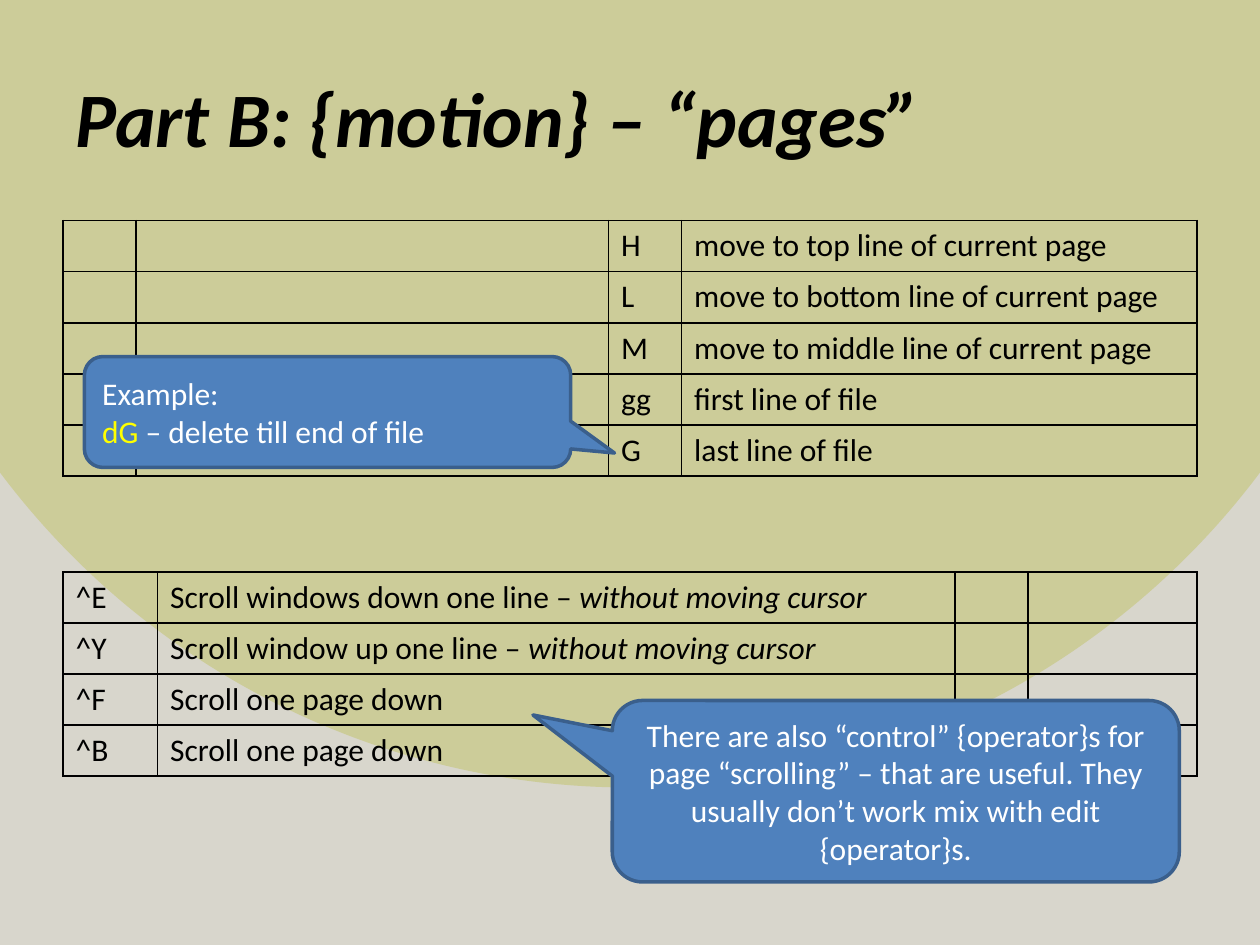
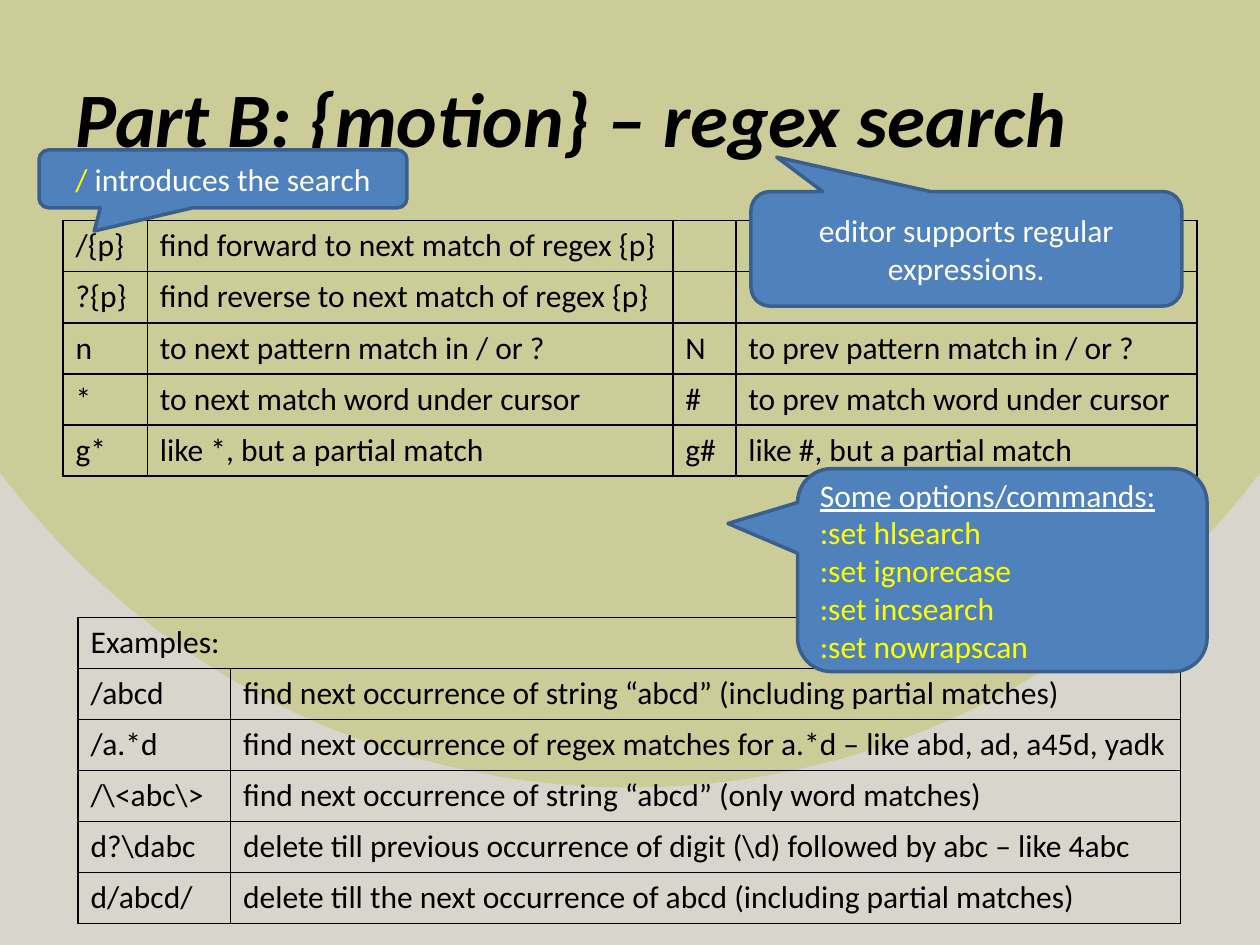
from lxml import etree
from pptx import Presentation
from pptx.dml.color import RGBColor
from pptx.enum.shapes import MSO_SHAPE
from pptx.enum.text import MSO_ANCHOR, PP_ALIGN
from pptx.oxml import parse_xml
from pptx.oxml.ns import nsdecls, qn
from pptx.util import Inches, Pt

CALLOUT = MSO_SHAPE.ROUNDED_RECTANGULAR_CALLOUT
MIDDLE = MSO_ANCHOR.MIDDLE
LEFT, CENTER = PP_ALIGN.LEFT, PP_ALIGN.CENTER

KHAKI = RGBColor(0xCC, 0xCC, 0x99)
STONE = RGBColor(0xD8, 0xD6, 0xCC)
BLACK = RGBColor(0x00, 0x00, 0x00)
WHITE = RGBColor(0xFF, 0xFF, 0xFF)
YELLOW = RGBColor(0xFF, 0xFF, 0x00)
BLUE = RGBColor(0x4F, 0x81, 0xBD)
NAVY = RGBColor(0x3A, 0x5F, 0x8C)
FONT = "Calibri"
BODY_SIZE = Pt(18)


def add_grid(page, left, top, height, widths, rows):
    frame = page.shapes.add_table(
        len(rows), len(widths), Inches(left), Inches(top), Inches(sum(widths)), Inches(height)
    )
    table = frame.table
    table.first_row = False
    table.horz_banding = False
    for column, width in zip(table.columns, widths):
        column.width = Inches(width)
    for row, texts in zip(table.rows, rows):
        for cell, text in zip(row.cells, texts):
            cell.fill.background()
            properties = cell._tc.get_or_add_tcPr()
            for index, side in enumerate(("lnL", "lnR", "lnT", "lnB")):
                border = etree.Element(qn(f"a:{side}"), w=str(Pt(1)))
                paint = etree.SubElement(border, qn("a:solidFill"))
                etree.SubElement(paint, qn("a:srgbClr"), val=str(BLACK))
                properties.insert(index, border)
            para = cell.text_frame.paragraphs[0]
            para.font.name = FONT
            para.font.size = BODY_SIZE
            para.font.color.rgb = BLACK
            plain, italic = text if isinstance(text, tuple) else (text, "")
            if plain:
                para.add_run().text = plain
            if italic:
                span = para.add_run()
                span.text = italic
                span.font.italic = True
    return table


def add_callout(page, left, top, width, height, pointer, alignment, lines):
    box = page.shapes.add_shape(CALLOUT, Inches(left), Inches(top), Inches(width), Inches(height))
    for index, value in enumerate(pointer):
        box.adjustments[index] = value
    box.shadow.inherit = False
    box.fill.solid()
    box.fill.fore_color.rgb = BLUE
    box.line.color.rgb = NAVY
    box.line.width = Pt(2)
    frame = box.text_frame
    frame.vertical_anchor = MIDDLE
    for index, line in enumerate(lines):
        para = frame.add_paragraph() if index else frame.paragraphs[0]
        para.alignment = alignment
        para.font.name = FONT
        para.font.size = BODY_SIZE
        for text, colour in zip(line, (YELLOW, WHITE)):
            if text:
                span = para.add_run()
                span.text = text
                span.font.color.rgb = colour
    return frame


deck = Presentation()
deck.slide_width = Inches(10)
deck.slide_height = Inches(7.5)
master = deck.slide_master
master.background.fill.solid()
solid = master.element.find(".//" + qn("p:bgPr"))[0]
solid.getparent().replace(solid, parse_xml(
    f'<a:gradFill {nsdecls("a")} rotWithShape="1"><a:gsLst>'
    f'<a:gs pos="100000"><a:srgbClr val="{KHAKI}"/></a:gs>'
    f'<a:gs pos="100000"><a:srgbClr val="{STONE}"/></a:gs></a:gsLst>'
    '<a:path path="circle"><a:fillToRect l="43000" r="43000" b="100000"/></a:path></a:gradFill>'
))

pages = []
for title in ("Part B: {motion} – “pages”", "Part B: {motion} – regex search"):
    page = deck.slides.add_slide(deck.slide_layouts[6])
    box = page.shapes.add_textbox(Inches(0.5), Inches(0.3), Inches(9), Inches(1.25))
    box.text_frame.word_wrap = True
    box.text_frame.vertical_anchor = MIDDLE
    para = box.text_frame.paragraphs[0]
    para.text = title
    para.font.name = FONT
    para.font.size = Pt(44)
    para.font.bold = True
    para.font.italic = True
    para.font.color.rgb = BLACK
    pages.append(page)
motion_page, search_page = pages

add_grid(motion_page, 0.5, 4.54, 1.62, (0.75, 6.33, 0.58, 1.34), [
    ("^E", ("Scroll windows down one line – ", "without moving cursor"), "", ""),
    ("^Y", ("Scroll window up one line – ", "without moving cursor"), "", ""),
    ("^F", "Scroll one page down", "", ""),
    ("^B", "Scroll one page down", "", ""),
])
add_callout(motion_page, 4.86, 5.56, 4.5, 1.44, (-0.64, -0.42), CENTER, [
    ("", "There are also “control” {operator}s for page “scrolling” – that are useful. "
         "They usually don’t work mix with edit {operator}s."),
])
add_grid(motion_page, 0.5, 1.75, 2.03, (0.58, 3.75, 0.58, 4.09), [
    ("", "", "H", "move to top line of current page"),
    ("", "", "L", "move to bottom line of current page"),
    ("", "", "M", "move to middle line of current page"),
    ("", "", "gg", "first line of file"),
    ("", "", "G", "last line of file"),
])
add_callout(motion_page, 0.67, 2.83, 3.86, 0.88, (0.59, 0.37), LEFT, [
    ("", "Example:"),
    ("dG", " – delete till end of file"),
])

add_grid(search_page, 0.5, 1.75, 2.03, (0.67, 4.17, 0.5, 3.66), [
    ("/{p}", "find forward to next match of regex {p}", "", ""),
    ("?{p}", "find reverse to next match of regex {p}", "", ""),
    ("n", "to next pattern match in / or ?", "N", "to prev pattern match in / or ?"),
    ("*", "to next match word under cursor", "#", "to prev match word under cursor"),
    ("g*", "like *, but a partial match", "g#", "like #, but a partial match"),
])
add_callout(search_page, 5.96, 1.52, 3.42, 0.91, (-0.44, -0.8), CENTER, [
    ("", "editor supports regular expressions."),
])
examples = add_grid(search_page, 0.62, 4.9, 2.43, (1.21, 7.54), [
    ("Examples:", ""),
    ("/abcd", "find next occurrence of string “abcd” (including partial matches)"),
    ("/a.*d", "find next occurrence of regex matches for a.*d – like abd, ad, a45d, yadk"),
    ("/\\<abc\\>", "find next occurrence of string “abcd” (only word matches)"),
    ("d?\\dabc", "delete till previous occurrence of digit (\\d) followed by abc – like 4abc"),
    ("d/abcd/", "delete till the next occurrence of abcd (including partial matches)"),
])
examples.cell(0, 0).merge(examples.cell(0, 1))
options = add_callout(search_page, 6.33, 3.72, 3.25, 1.61, (-0.67, -0.23), LEFT, [
    ("", "Some options/commands:"),
    (":set hlsearch", ""),
    (":set ignorecase", ""),
    (":set incsearch", ""),
    (":set nowrapscan", ""),
])
options.paragraphs[0].font.underline = True
add_callout(search_page, 0.31, 1.19, 2.92, 0.46, (-0.35, 0.9), CENTER, [
    ("/", " introduces the search"),
])

deck.save("out.pptx")
